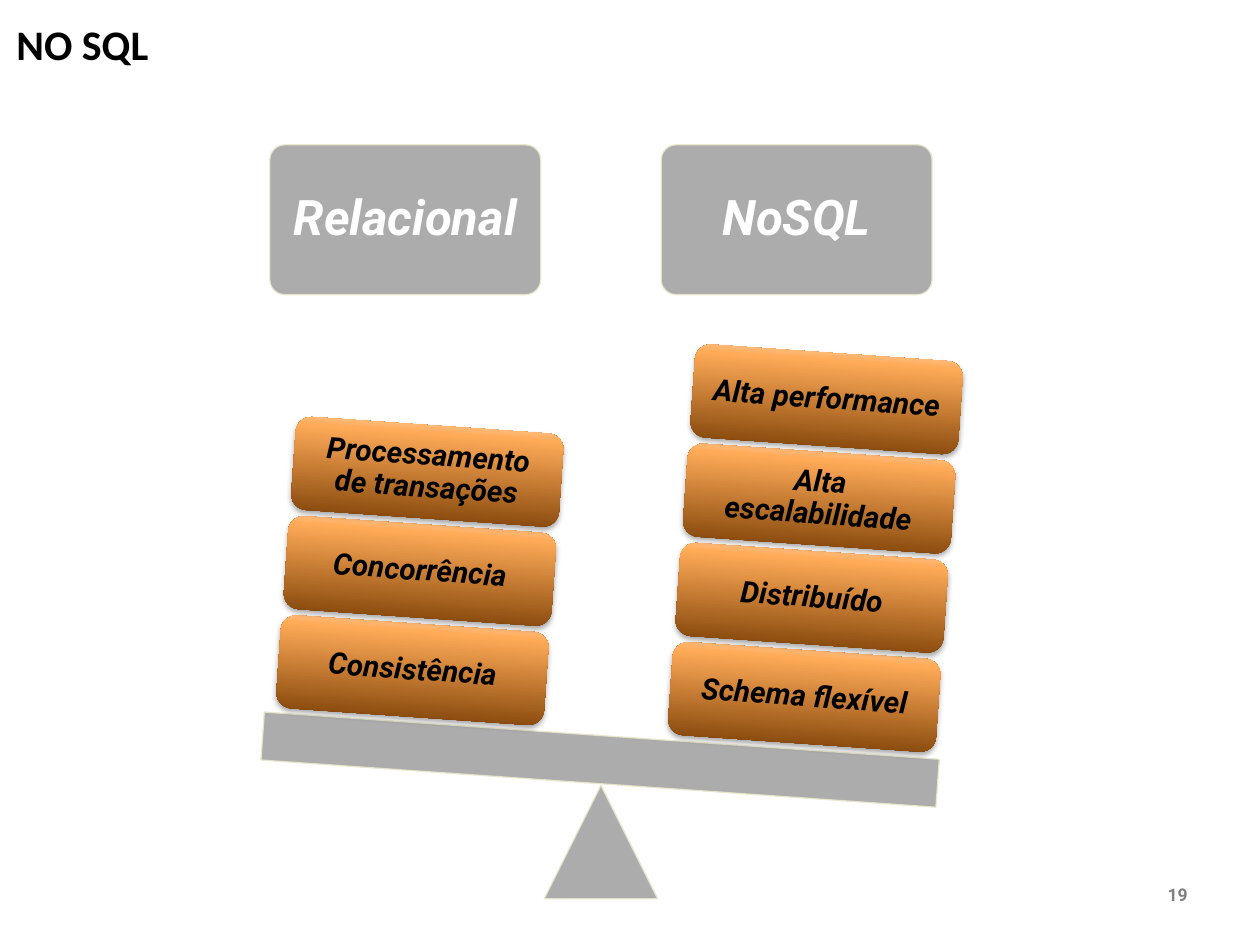
from copy import deepcopy

from lxml.etree import SubElement
from pptx import Presentation
from pptx.dml.color import RGBColor
from pptx.enum.shapes import MSO_SHAPE
from pptx.enum.text import MSO_ANCHOR, MSO_AUTO_SIZE, PP_ALIGN
from pptx.oxml.ns import qn
from pptx.util import Cm, Pt

color = RGBColor.from_string


def write(box, text, align, margin, **formats):
    frame = box.text_frame
    frame.word_wrap = True
    frame.auto_size = MSO_AUTO_SIZE.NONE
    frame.vertical_anchor = MSO_ANCHOR.MIDDLE
    for side in ("left", "right", "top", "bottom"):
        setattr(frame, f"margin_{side}", Cm(margin))
    para = frame.paragraphs[0]
    para.alignment = align
    para.line_spacing = 0.9
    span = para.add_run()
    span.text = text
    span.font.color.rgb = color(formats.pop("hex_color"))
    for name, value in formats.items():
        setattr(span.font, name, value)


def add_gray(kind, left, top, width, height):
    shape = page.shapes.add_shape(kind, Cm(left), Cm(top), Cm(width), Cm(height))
    shape.shadow.inherit = False
    shape.line.width = Pt(0.75)
    for fill, hex_color in ((shape.fill, "A3A3A3"), (shape.line.fill, "E8E8CC")):
        fill.solid()
        fill.fore_color.rgb = color(hex_color)
    for solid in shape._element.spPr.iter(qn("a:solidFill")):
        SubElement(solid[0], qn("a:alpha"), val="90000")
    return shape


deck = Presentation()
deck.slide_width, deck.slide_height = Cm(25.4), Cm(19.05)
page = deck.slides.add_slide(deck.slide_layouts[5])

title = page.shapes.title
title.left, title.top, title.width, title.height = Cm(0.08), Cm(-0.64), Cm(22.86), Cm(3.18)
write(title, "NO SQL", PP_ALIGN.LEFT, 0.25,
      name="Calibri", size=Pt(24), bold=True, hex_color="000000")

card_font = {"name": "Roboto", "bold": True, "italic": True}
for left, heading in ((5.44, "Relacional"), (13.33, "NoSQL")):
    header = add_gray(MSO_SHAPE.ROUNDED_RECTANGLE, left, 2.92, 5.46, 3.02)
    header.adjustments[0] = 0.1
    write(header, heading, PP_ALIGN.CENTER, 0.3, size=Pt(28), hex_color="FFFFFF", **card_font)

tilt = 4
add_gray(MSO_SHAPE.ISOSCELES_TRIANGLE, 10.97, 15.83, 2.29, 2.29)
beam = add_gray(MSO_SHAPE.RECTANGLE, 5.28, 14.83, 13.64, 0.97)
beam.rotation = tilt

stacks = [
    (13.51, 13.11, ["Schema flexível", "Distribuído", "Alta escalabilidade", "Alta performance"]),
    (5.61, 12.57, ["Consistência", "Concorrência", "Processamento de transações"]),
]
gradient = [(0, "743900"), (0.8, "FFAB58"), (1, "FFE3C7")]
for left, top, labels in stacks:
    for level, label in enumerate(labels):
        card = page.shapes.add_shape(
            MSO_SHAPE.ROUNDED_RECTANGLE,
            Cm(left + 0.15 * level), Cm(top - 2 * level), Cm(5.41), Cm(1.88))
        card.rotation = tilt
        card.line.fill.background()
        card.fill.gradient()
        card.fill.gradient_angle = 90
        stop_list = card._element.spPr.find(qn("a:gradFill")).find(qn("a:gsLst"))
        stop_list.append(deepcopy(stop_list[0]))
        for stop, (position, hex_color) in zip(card.fill.gradient_stops, gradient):
            stop.position = position
            stop.color.rgb = color(hex_color)
        card.shadow.inherit = False
        effects = card._element.spPr.find(qn("a:effectLst"))
        shadow = SubElement(effects, qn("a:outerShdw"), blurRad="40000", dist="23000",
                            dir="5400000", rotWithShape="0")
        shade = SubElement(shadow, qn("a:srgbClr"), val="000000")
        SubElement(shade, qn("a:alpha"), val="35000")
        write(card, label, PP_ALIGN.CENTER, 0.2, size=Pt(17), hex_color="000000", **card_font)

number = page.shapes.add_textbox(Cm(23.29), Cm(17.73), Cm(1.09), Cm(0.66))
write(number, "19", PP_ALIGN.LEFT, 0.25,
      name="Roboto", size=Pt(10), bold=True, hex_color="808080")
number.text_frame.word_wrap = False

deck.save("out.pptx")
